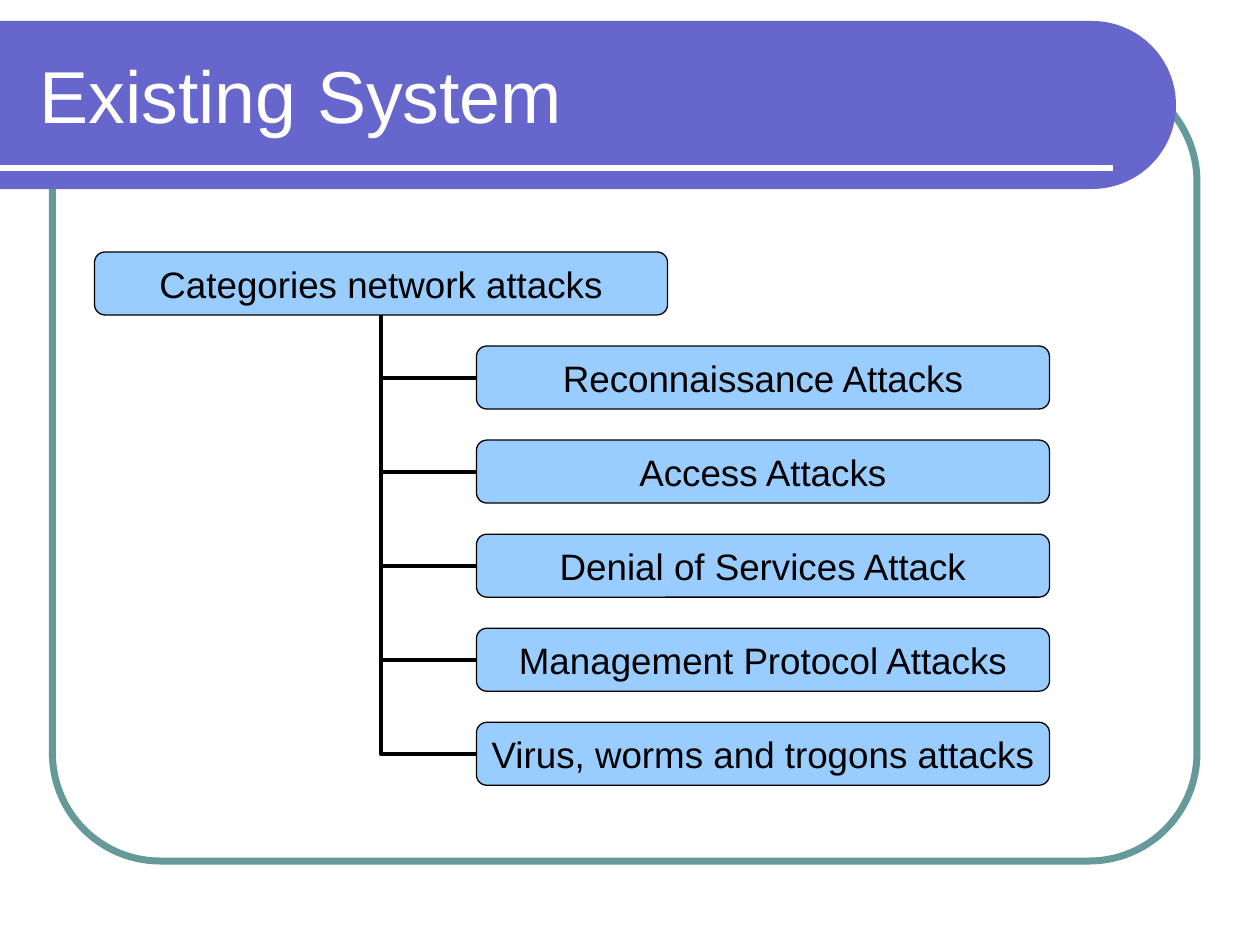
from math import cos, sin, radians
from pptx import Presentation
from pptx.dml.color import RGBColor
from pptx.enum.shapes import MSO_CONNECTOR, MSO_SHAPE
from pptx.enum.text import MSO_ANCHOR, PP_ALIGN
from pptx.oxml.ns import qn
from pptx.util import Pt
from lxml.etree import SubElement

WHITE = RGBColor(0xFF, 0xFF, 0xFF)
BLACK = RGBColor(0, 0, 0)
TEAL = RGBColor(0x66, 0x99, 0x99)
VIOLET = RGBColor(0x66, 0x66, 0xCC)
SKY = RGBColor(0x99, 0xCC, 0xFF)


def write(shape, text, size=21, color=BLACK, align=PP_ALIGN.CENTER, inset=(0, 0), wrap=False):
    frame = shape.text_frame
    frame.word_wrap = wrap
    frame.vertical_anchor = MSO_ANCHOR.MIDDLE
    frame.margin_left = frame.margin_right = Pt(inset[0])
    frame.margin_top = frame.margin_bottom = Pt(inset[1])
    para = frame.paragraphs[0]
    para.alignment = align
    run = para.add_run()
    run.text = text
    run.font.name = "Arial"
    run.font.size = Pt(size)
    run.font.color.rgb = color


def link(kind, ends, color, width):
    line = shapes.add_connector(kind, *[Pt(n) for n in ends])
    line.line.color.rgb = color
    line.line.width = Pt(width)
    SubElement(line._element.spPr, qn("a:effectLst"))
    return line


deck = Presentation()
deck.slide_width, deck.slide_height = Pt(720), Pt(540)
slide = deck.slides.add_slide(deck.slide_layouts[6])
shapes = slide.shapes

frame = shapes.add_shape(MSO_SHAPE.ROUNDED_RECTANGLE, Pt(30), Pt(42), Pt(654), Pt(450))
frame.adjustments[0] = 0.137
frame.shadow.inherit = False
frame.fill.background()
frame.line.color.rgb = TEAL
frame.line.width = Pt(4)

curve = [(624 + 48 * cos(radians(a)), 60 + 48 * sin(radians(a))) for a in range(-90, 91, 3)]
pen = shapes.build_freeform(0, Pt(12))
pen.add_line_segments([(Pt(x), Pt(y)) for x, y in curve] + [(0, Pt(108))], close=True)
banner = pen.convert_to_shape()
banner.shadow.inherit = False
banner.fill.solid()
banner.fill.fore_color.rgb = VIOLET
banner.line.fill.background()

link(MSO_CONNECTOR.STRAIGHT, (0, 96, 636, 96), WHITE, 3)

title = shapes.add_textbox(Pt(15.5), Pt(18), Pt(631), Pt(72))
write(title, "Existing System", size=42, color=WHITE, align=PP_ALIGN.LEFT, inset=(7.2, 3.6), wrap=True)

labels = [
    "Categories network attacks",
    "Reconnaissance Attacks",
    "Access Attacks",
    "Denial of Services Attack",
    "Management Protocol Attacks",
    "Virus, worms and trogons attacks",
]
left, top, wide, high, step = 54, 144, 327.5, 36, 53.75
trunk = left + wide / 2
inner = 272.25

for row in range(len(labels) - 1, 0, -1):
    mid = top + row * step + high / 2
    elbow = link(MSO_CONNECTOR.ELBOW, (trunk, top + high, inner, mid), BLACK, 2.25)
    props = elbow._element.spPr
    props.find(qn("a:prstGeom")).set("prst", "bentConnector2")
    props.find(qn("a:xfrm")).set("rot", "10800000")

for row, label in enumerate(labels):
    box = shapes.add_shape(
        MSO_SHAPE.ROUNDED_RECTANGLE,
        Pt(inner if row else left), Pt(top + row * step), Pt(wide), Pt(high),
    )
    box.adjustments[0] = 0.167
    box.shadow.inherit = False
    box.fill.solid()
    box.fill.fore_color.rgb = SKY
    box.line.color.rgb = BLACK
    box.line.width = Pt(0.75)
    write(box, label)

deck.save("out.pptx")
